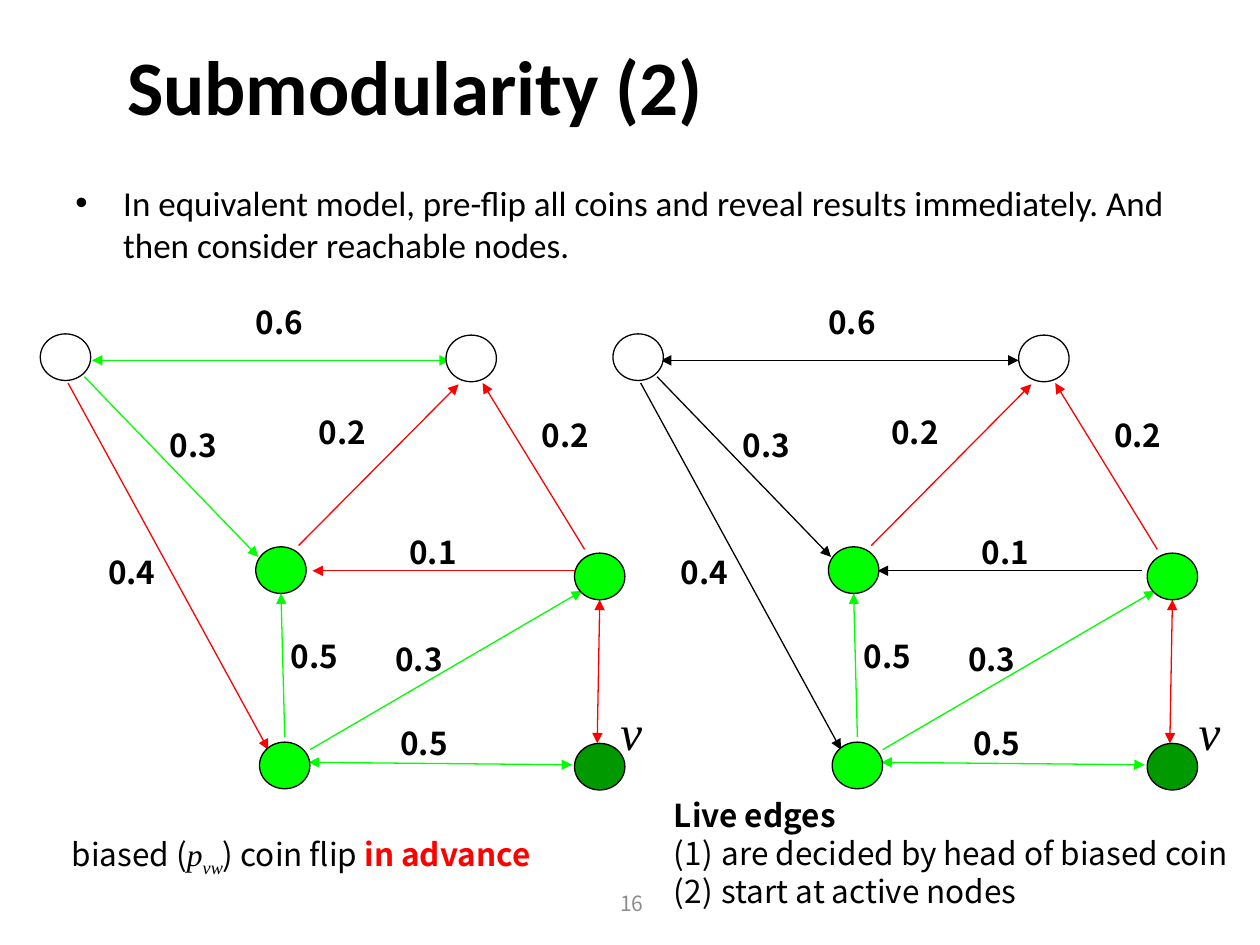
from dataclasses import dataclass
from typing import Any

from lxml.etree import SubElement as Sub
from pptx import Presentation as Deck
from pptx.dml.color import RGBColor as Rgb
from pptx.enum.shapes import MSO_CONNECTOR as Link, MSO_SHAPE as Form
from pptx.enum.text import MSO_ANCHOR as Anchor, PP_ALIGN as Align
from pptx.oxml.ns import qn
from pptx.util import Inches, Pt

COLS, ROWS = 100, 75
HUES = {"black": "000000", "white": "FFFFFF", "green": "00FF00",
        "dark": "009900", "red": "FF0000", "grey": "8C8C8C"}
NOTO, TIMES = "Noto Sans CJK KR", "Times New Roman"
PLAIN = {"name": NOTO, "size": Pt(18)}
BOLD = PLAIN | {"bold": True}
MATH = {"name": TIMES, "size": Pt(18), "italic": True}
BODY = {"name": "Calibri", "size": Pt(20)}
TITLE = {"name": "Calibri", "size": Pt(44), "bold": True}
NODE_W, NODE_H = 4, 3.7
TAG_W, TAG_H = 6.7, 4
RIGHT = 45.45

deck = Deck()
deck.slide_width, deck.slide_height = Inches(10), Inches(7.5)
slide = deck.slides.add_slide(deck.slide_layouts[6])


@dataclass
class Node:
    x: float
    y: float
    hue: str


@dataclass
class Edge:
    x1: float
    y1: float
    x2: float
    y2: float
    hues: tuple[str, str]
    ends: str = "tail"
    shift: float = 0


@dataclass
class Tag:
    x: float
    y: float
    text: str


@dataclass
class Run:
    text: str
    form: dict[str, Any]
    hue: str = "black"
    base: int = 0


NODES = [
    Node(20.6, 58.9, "green"), Node(45.6, 59, "dark"), Node(3.2, 26.5, "white"),
    Node(35.4, 26.6, "white"), Node(20.3, 43.4, "green"), Node(45.6, 43.9, "green"),
]
EDGES = [
    Edge(24.5, 60.5, 45.4, 60.7, ("green", "green"), "head tail"),
    Edge(24.6, 59.5, 46.2, 46.9, ("green", "green")),
    Edge(22.6, 58.5, 22.3, 47.1, ("green", "green")),
    Edge(45.8, 45.3, 24.8, 45.3, ("red", "black"), shift=-0.6),
    Edge(5.4, 30.4, 21.3, 59.5, ("red", "black")),
    Edge(6.7, 29.9, 20.5, 44.2, ("green", "black")),
    Edge(23.7, 43.3, 36.4, 30.5, ("red", "red")),
    Edge(7.3, 28.6, 35.7, 28.6, ("green", "black"), "head tail", -0.3),
    Edge(38.3, 30.4, 46.4, 43.6, ("red", "red"), "head"),
    Edge(47.6, 47.6, 47.4, 59, ("red", "red"), "head tail"),
]
TAGS = [
    Tag(30.8, 57, "0.5"), Tag(30.4, 50.3, "0.3"), Tag(22.1, 50.1, "0.5"),
    Tag(31.5, 41.8, "0.1"), Tag(7.6, 43.4, "0.4"), Tag(12.5, 33.3, "0.3"),
    Tag(24.3, 32.3, "0.2"), Tag(19.3, 23.6, "0.6"), Tag(42, 32.5, "0.2"),
]


def across(n: float) -> int:
    return round(deck.slide_width * n / COLS)


def down(n: float) -> int:
    return round(deck.slide_height * n / ROWS)


def box(x: float, y: float, w: float, h: float) -> tuple[int, int, int, int]:
    return across(x), down(y), across(w), down(h)


def style(item: Any, form: dict[str, Any]) -> None:
    for key, value in form.items():
        setattr(item, key, value)


def tint(hue: str) -> Rgb:
    return Rgb.from_string(HUES[hue])


def write(home: Any, place: tuple, paras: list[list[Run]],
          align: Align = Align.LEFT, anchor: Anchor = Anchor.TOP) -> Any:
    frame = home.add_textbox(*box(*place)).text_frame
    style(frame, {"word_wrap": True, "vertical_anchor": anchor})
    for i, runs in enumerate(paras):
        para = frame.add_paragraph() if i else frame.paragraphs[0]
        para.alignment = align
        for part in runs:
            run = para.add_run()
            run.text = part.text
            style(run.font, part.form)
            run.font.color.rgb = tint(part.hue)
            if part.base:
                run._r.get_or_add_rPr().set("baseline", str(part.base))
    return frame


def mark(para: Any, kind: str, **traits: str) -> None:
    props = para._p.get_or_add_pPr()
    props.set("marL", str(Inches(0.38)))
    props.set("indent", str(-Inches(0.38)))
    Sub(props, qn("a:buFont"), typeface="Arial" if kind == "buChar" else "+mj-lt")
    Sub(props, qn(f"a:{kind}"), **traits)


def draw_edge(home: Any, edge: Edge, side: int) -> None:
    dx = side * (RIGHT + edge.shift)
    line = home.add_connector(Link.STRAIGHT, across(edge.x1 + dx), down(edge.y1),
                              across(edge.x2 + dx), down(edge.y2))
    line.line.width = Pt(0.75)
    line.line.color.rgb = tint(edge.hues[side])
    for end in edge.ends.split():
        Sub(line.line._get_or_add_ln(), qn(f"a:{end}End"), type="triangle")
    Sub(line._element.spPr, qn("a:effectLst"))


def draw_node(home: Any, node: Node, side: int) -> None:
    disc = home.add_shape(Form.OVAL, *box(node.x + side * RIGHT, node.y, NODE_W, NODE_H))
    disc.shadow.inherit = False
    disc.fill.solid()
    disc.fill.fore_color.rgb = tint(node.hue)
    disc.line.color.rgb = tint("black")
    disc.line.width = Pt(0.75)


def draw_graph(side: int) -> None:
    home = slide.shapes.add_group_shape().shapes
    for edge in EDGES:
        draw_edge(home, edge, side)
    for tag in TAGS:
        write(home, (tag.x + side * RIGHT, tag.y, TAG_W, TAG_H), [[Run(tag.text, BOLD)]])
    for node in NODES:
        draw_node(home, node, side)


def main() -> None:
    home = slide.shapes
    write(home, (38.5, 69.7, 23.3, 4), [[Run("16", PLAIN | {"size": Pt(12)}, "grey")]],
          Align.CENTER, Anchor.MIDDLE)
    write(home, (9.1, 0.5, 85.8, 12.5), [[Run("Submodularity (2)", TITLE)]],
          anchor=Anchor.MIDDLE)
    body = write(home, (5, 13.9, 90, 53.1), [[Run(
        "In equivalent model, pre-flip all coins and reveal results immediately. "
        "And then consider reachable nodes.", BODY)]])
    mark(body.paragraphs[0], "buChar", char="•")
    for side in (1, 0):
        draw_graph(side)
    write(home, (4.7, 65.8, 43.5, 4), [[
        Run("biased (", PLAIN), Run("p", MATH), Run("vw", MATH, base=-25000),
        Run(") coin flip ", PLAIN), Run("in advance", BOLD, "red")]])
    live = write(home, (52.5, 62.7, 47.9, 10.4), [
        [Run("Live edges", BOLD)],
        [Run("are decided by head of biased coin", PLAIN)],
        [Run("start at active nodes", PLAIN)]])
    for para in live.paragraphs[1:]:
        mark(para, "buAutoNum", type="arabicParenBoth")
    for x in (47.9, 93.8):
        write(home, (x, 55.2, 4.4, 5.7), [[Run("v", MATH | {"size": Pt(28)})]], Align.CENTER)
    deck.save("out.pptx")


if __name__ == "__main__":
    main()
